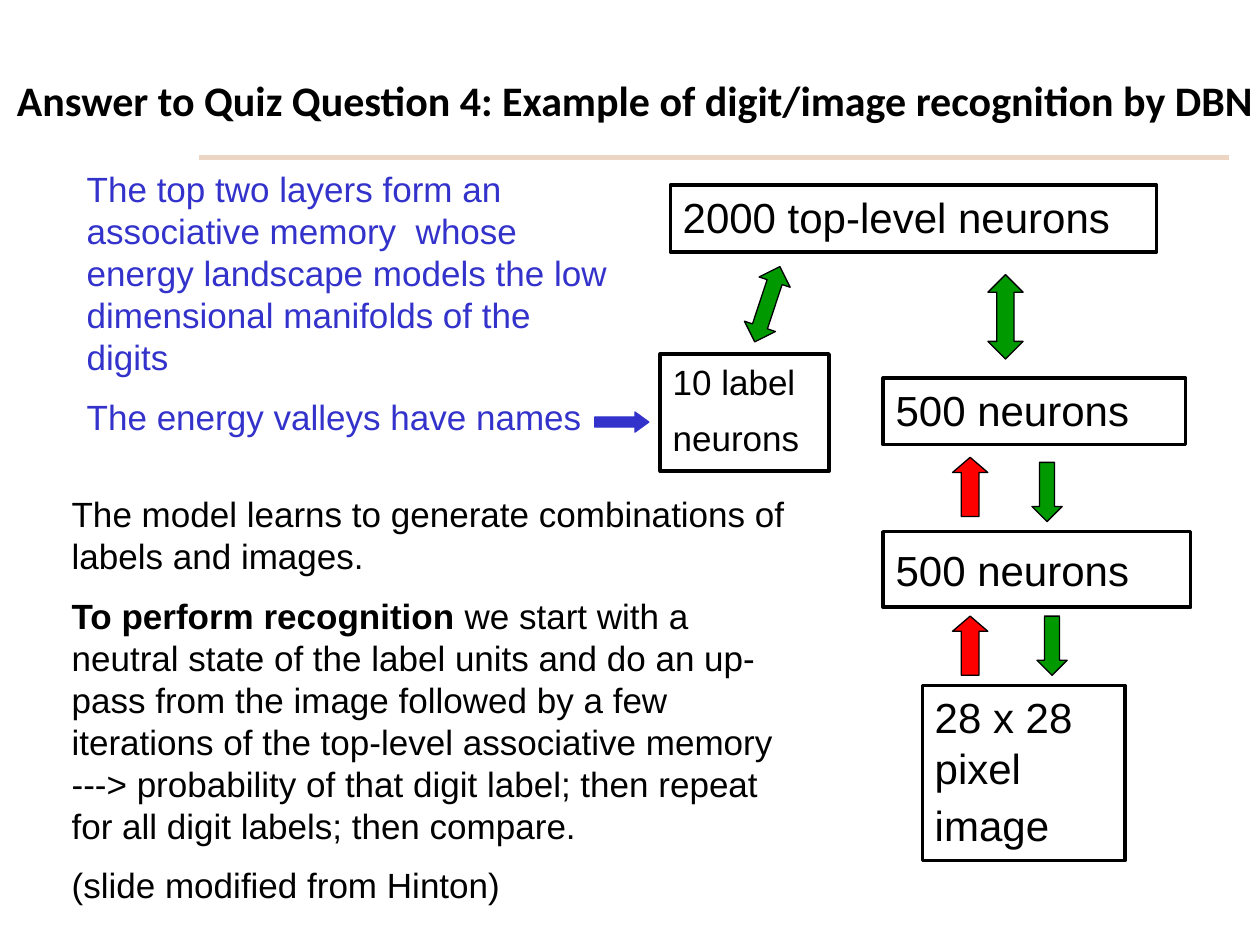
from pptx import Presentation
from pptx.dml.color import RGBColor
from pptx.enum.shapes import MSO_CONNECTOR, MSO_SHAPE
from pptx.enum.text import MSO_ANCHOR, PP_ALIGN
from pptx.oxml.ns import qn
from pptx.util import Inches, Pt
from lxml.etree import SubElement

THEME = {
    "black": "000000", "blue": "3333CC", "green": "009900",
    "red": "FF0000", "sand": "ECD5C2",
    "head": "Calibri", "body": "Arial",
    "big": 24, "mid": 20, "tail": 28,
    "rule": 3, "frame": 2, "edge": 0.75,
}

TITLE = "Answer to Quiz Question 4: Example of digit/image recognition by DBN"

BOXES = [
    ("2000 top-level neurons", "big", False, (5.32, 1.47, 3.86, 0.53)),
    ("500 neurons", "big", False, (7.01, 3, 2.4, 0.53)),
    ("500 neurons", "big", True, (7.01, 4.22, 2.44, 0.6)),
    ("28 x 28 pixel image", "big", True, (7.32, 5.44, 1.61, 1.39)),
    ("10 label neurons", "mid", True, (5.24, 2.81, 1.34, 0.93)),
]

BOTH, UP = MSO_SHAPE.UP_DOWN_ARROW, MSO_SHAPE.UP_ARROW
DOWN, RIGHT = MSO_SHAPE.DOWN_ARROW, MSO_SHAPE.RIGHT_ARROW
ARROWS = [
    (BOTH, "green", "black", 0.49, 0, (7.84, 2.18, 0.28, 0.67)),
    (BOTH, "green", "black", 0.48, 18.4, (5.96, 2.1, 0.26, 0.63)),
    (DOWN, "green", "black", 0.5, 0, (8.19, 3.67, 0.24, 0.47)),
    (DOWN, "green", "black", 0.5, 0, (8.23, 4.89, 0.24, 0.47)),
    (UP, "red", "black", 0.43, 0, (7.56, 4.89, 0.28, 0.47)),
    (UP, "red", "black", 0.43, 0, (7.56, 3.63, 0.28, 0.47)),
    (RIGHT, "blue", "blue", 0.69, 0, (4.72, 3.27, 0.43, 0.16)),
]

NOTES = [
    ("black", (0.47, 3.86, 5.91, 3.47), [
        [("The model learns to generate combinations of labels and images.", False)],
        [("To perform recognition ", True),
         ("we start with a neutral state of the label units and do an up-pass "
          "from the image followed by a few iterations of the top-level "
          "associative memory ---> probability of that digit label; then repeat "
          "for all digit labels; then compare.", False)],
        [("(slide modified from Hinton)", False)],
    ]),
    ("blue", (0.59, 1.28, 4.33, 2.27), [
        [("The top two layers form an associative memory  whose energy landscape "
          "models the low dimensional manifolds of the digits", False)],
        [("The energy valleys have names", False)],
    ]),
]


def color(name):
    return RGBColor.from_string(THEME[name])


def place(area):
    return [Inches(n) for n in area]


def write(para, text, size, tint="black", face="body", bold=False):
    run = para.add_run()
    run.text = text
    font = run.font
    font.name, font.size, font.bold = THEME[face], Pt(THEME[size]), bold
    font.color.rgb = color(tint)


def add_title(slide):
    title = slide.shapes.title
    title.left, title.top, title.width, title.height = place((0, 0.17, 10.08, 1.25))
    frame = title.text_frame
    frame.word_wrap = True
    frame.vertical_anchor = MSO_ANCHOR.MIDDLE
    para = frame.paragraphs[0]
    para.alignment = PP_ALIGN.CENTER
    write(para, TITLE, "big", face="head", bold=True)


def add_rule(slide):
    rule = slide.shapes.add_connector(
        MSO_CONNECTOR.STRAIGHT, *place((1.58, 1.25, 9.75, 1.25)))
    rule.line.color.rgb = color("sand")
    rule.line.width = Pt(THEME["rule"])
    SubElement(rule._element.spPr, qn("a:effectLst"))


def add_shape(slide, kind, area, edge, width):
    shape = slide.shapes.add_shape(kind, *place(area))
    shape.shadow.inherit = False
    shape.line.color.rgb = color(edge)
    shape.line.width = Pt(THEME[width])
    return shape


def add_box(slide, text, size, tail, area):
    box = add_shape(slide, MSO_SHAPE.RECTANGLE, area, "black", "frame")
    box.fill.background()
    frame = box.text_frame
    frame.word_wrap = True
    frame.vertical_anchor = MSO_ANCHOR.TOP
    para = frame.paragraphs[0]
    para.alignment = PP_ALIGN.LEFT
    write(para, text, size)
    if tail:
        write(para, " ", "tail")


def add_arrow(slide, kind, fill, edge, head, turn, area):
    arrow = add_shape(slide, kind, area, edge, "edge")
    arrow.fill.solid()
    arrow.fill.fore_color.rgb = color(fill)
    arrow.adjustments[0], arrow.adjustments[1] = 0.5, head
    arrow.rotation = turn


def add_note(slide, tint, area, paras):
    frame = slide.shapes.add_textbox(*place(area)).text_frame
    frame.word_wrap = True
    for i, runs in enumerate(paras):
        para = frame.add_paragraph() if i else frame.paragraphs[0]
        if i:
            para.space_before = Pt(THEME["mid"] / 2)
        for text, bold in runs:
            write(para, text, "mid", tint, bold=bold)


def main():
    deck = Presentation()
    deck.slide_width, deck.slide_height = Inches(10), Inches(7.5)
    slide = deck.slides.add_slide(deck.slide_layouts[5])
    add_rule(slide)
    add_title(slide)
    for box in BOXES:
        add_box(slide, *box)
    for arrow in ARROWS:
        add_arrow(slide, *arrow)
    for note in NOTES:
        add_note(slide, *note)
    deck.save("out.pptx")


if __name__ == "__main__":
    main()
